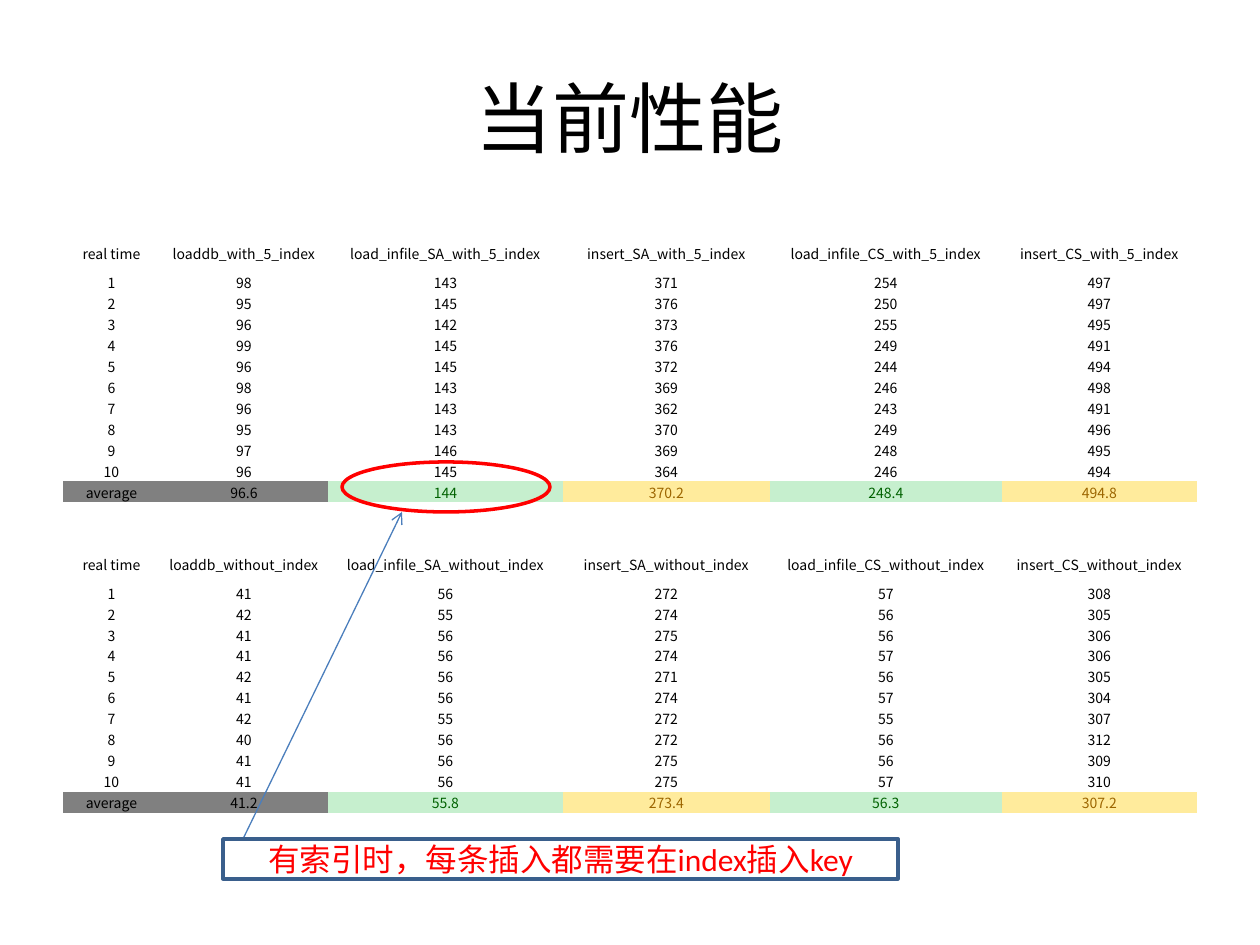
from dataclasses import dataclass

from lxml import etree
from pptx import Presentation
from pptx import util as u
from pptx.dml.color import RGBColor
from pptx.enum import shapes, text
from pptx.oxml.ns import qn

SCALE = 914400 / 126
NO_STYLE = "{2D5ABB26-0587-4C30-8999-92F81FD0307C}"


def px(n: int) -> int:
    return round(n * SCALE)


@dataclass(frozen=True)
class Theme:
    face: str = "Calibri"
    grid_face: str = "Noto Sans CJK SC"
    title: int = 44
    note: int = 18
    cell: int = 8
    ink: str = "000000"
    red: str = "FF0000"
    arrow: str = "4B7EBC"
    frame: str = "3A5F8C"


@dataclass(frozen=True)
class Box:
    left: int
    top: int
    width: int
    height: int

    def emu(self) -> list[int]:
        return [px(n) for n in (self.left, self.top, self.width, self.height)]


@dataclass(frozen=True)
class Tint:
    fill: str
    ink: str


@dataclass(frozen=True)
class Test:
    """One timing block: what the loads ran with, and ten times per method."""
    suffix: str
    head: int
    times: tuple[tuple[int, ...], ...]


THEME = Theme()
GRAY = Tint("808080", THEME.ink)
GREEN = Tint("C6EFCE", "006100")
GOLD = Tint("FFEB9C", "9C6500")
TINTS = (GRAY, GRAY, GREEN, GOLD, GREEN, GOLD)

METHODS = ("loaddb", "load_infile_SA", "insert_SA", "load_infile_CS", "insert_CS")
TESTS = (
    Test("with_5_index", 37, (
        (98, 95, 96, 99, 96, 98, 96, 95, 97, 96),
        (143, 145, 142, 145, 145, 143, 143, 143, 146, 145),
        (371, 376, 373, 376, 372, 369, 362, 370, 369, 364),
        (254, 250, 255, 249, 244, 246, 243, 249, 248, 246),
        (497, 497, 495, 491, 494, 498, 491, 496, 495, 494),
    )),
    Test("without_index", 36, (
        (41, 42, 41, 41, 42, 41, 42, 40, 41, 41),
        (56, 55, 56, 56, 56, 56, 55, 56, 56, 56),
        (272, 274, 275, 274, 271, 274, 272, 272, 275, 275),
        (57, 56, 56, 57, 56, 57, 55, 56, 56, 57),
        (308, 305, 306, 306, 305, 304, 307, 312, 309, 310),
    )),
)

COLS = (97, 168, 235, 207, 232, 195)
ROW = 21
GAP = 22
GAPS = 2
GRID_LEFT, GRID_TOP = 63, 234


def color(code: str) -> RGBColor:
    return RGBColor.from_string(code)


def style(para, face: str, size: int, ink: str) -> None:
    para.alignment = text.PP_ALIGN.CENTER
    para.font.name = face
    para.font.size = u.Pt(size)
    para.font.color.rgb = color(ink)


def label(shape, words: str, size: int, ink: str) -> None:
    frame = shape.text_frame
    frame.word_wrap = True
    frame.vertical_anchor = text.MSO_ANCHOR.MIDDLE
    frame.text = words
    style(frame.paragraphs[0], THEME.face, size, ink)


def fill_cell(cell, words: str, tint: Tint | None = None) -> None:
    cell.margin_left = cell.margin_right = cell.margin_top = px(1)
    cell.margin_bottom = 0
    cell.vertical_anchor = text.MSO_ANCHOR.MIDDLE
    cell.text = words
    style(cell.text_frame.paragraphs[0], THEME.grid_face, THEME.cell,
          tint.ink if tint else THEME.ink)
    if tint:
        cell.fill.solid()
        cell.fill.fore_color.rgb = color(tint.fill)
    else:
        cell.fill.background()


def block(test: Test) -> list[list[str]]:
    """Head row, one row per run, and the row of averages."""
    head = ["real time"] + [f"{name}_{test.suffix}" for name in METHODS]
    runs = [[str(n), *map(str, row)] for n, row in enumerate(zip(*test.times), 1)]
    means = ["average"] + [f"{sum(col) / len(col):g}" for col in test.times]
    return [head, *runs, means]


def draw_grid(slide) -> None:
    rows: list[list[str]] = []
    sizes: list[int] = []
    for test in TESTS:
        if rows:
            rows += [[""] * len(COLS)] * GAPS
            sizes += [GAP] * GAPS
        part = block(test)
        rows += part
        sizes += [test.head] + [ROW] * (len(part) - 1)
    area = Box(GRID_LEFT, GRID_TOP, sum(COLS), sum(sizes))
    table = slide.shapes.add_table(len(rows), len(COLS), *area.emu()).table
    table.first_row = table.horz_banding = False
    table._tbl.tblPr.find(qn("a:tableStyleId")).text = NO_STYLE
    for col, width in zip(table.columns, COLS):
        col.width = px(width)
    for line, height, row in zip(table.rows, sizes, rows):
        line.height = px(height)
        tints = TINTS if row[0] == "average" else [None] * len(COLS)
        for cell, words, tint in zip(line.cells, row, tints):
            fill_cell(cell, words, tint)


def outline(slide, kind, box: Box, ink: str):
    shape = slide.shapes.add_shape(kind, *box.emu())
    shape.shadow.inherit = False
    shape.fill.background()
    shape.line.color.rgb = color(ink)
    shape.line.width = u.Pt(2)
    return shape


def draw_arrow(slide, start: tuple[int, int], end: tuple[int, int]) -> None:
    line = slide.shapes.add_connector(
        shapes.MSO_CONNECTOR.STRAIGHT, *map(px, start + end))
    line.line.color.rgb = color(THEME.arrow)
    line.line.width = u.Pt(0.75)
    etree.SubElement(line.line._get_or_add_ln(), qn("a:tailEnd"), type="arrow")
    etree.SubElement(line._element.spPr, qn("a:effectLst"))


def main() -> None:
    deck = Presentation()
    deck.slide_width, deck.slide_height = px(1260), px(945)
    slide = deck.slides.add_slide(deck.slide_layouts[6])

    title = slide.shapes.add_textbox(*Box(63, 38, 1134, 157).emu())
    label(title, "当前性能", THEME.title, THEME.ink)
    draw_grid(slide)
    outline(slide, shapes.MSO_SHAPE.OVAL, Box(342, 462, 208, 50), THEME.red)
    draw_arrow(slide, (243, 839), (402, 512))
    note = outline(slide, shapes.MSO_SHAPE.RECTANGLE,
                   Box(223, 839, 675, 40), THEME.frame)
    label(note, "有索引时，每条插入都需要在index插入key", THEME.note, THEME.red)

    deck.save("out.pptx")


if __name__ == "__main__":
    main()
